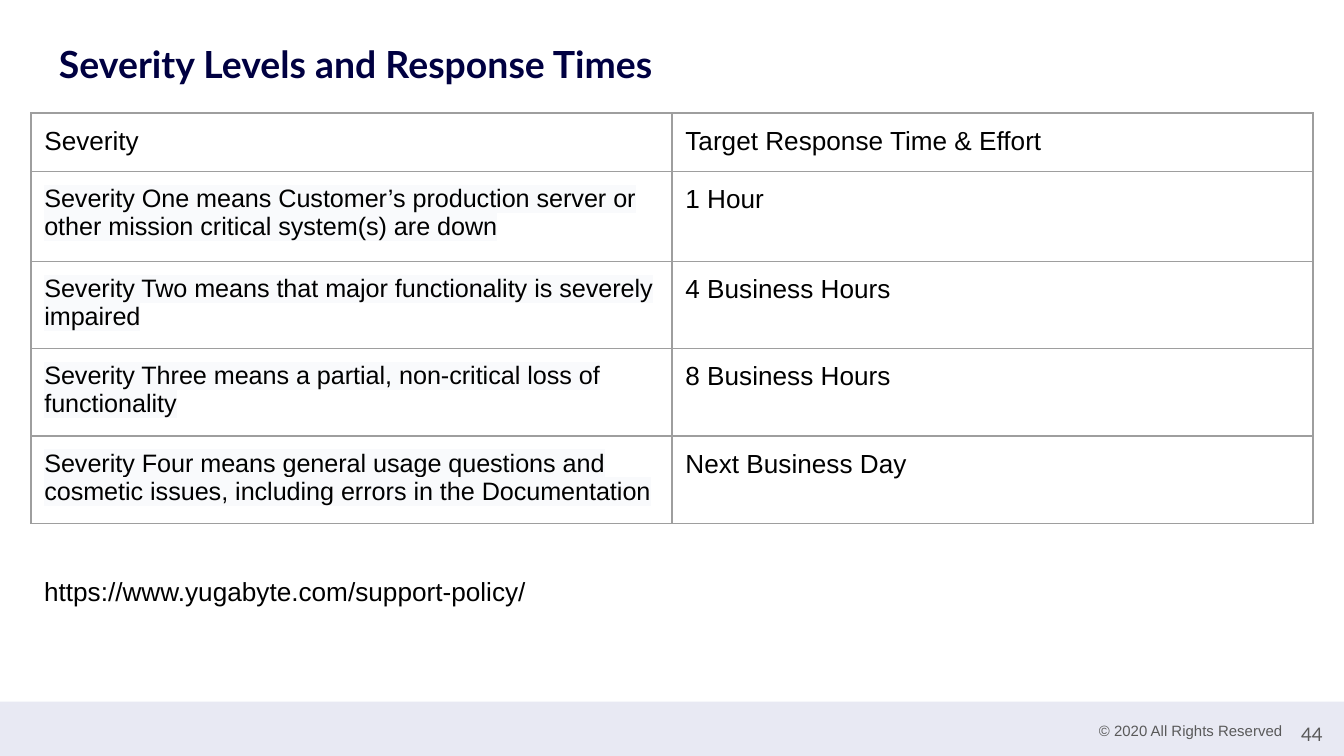
from dataclasses import dataclass

from lxml.etree import SubElement as Sub
from pptx import Presentation
from pptx.dml.color import RGBColor as RGB
from pptx.enum.shapes import MSO_SHAPE as Shape
from pptx.enum.text import MSO_ANCHOR as Anchor, PP_ALIGN as Align
from pptx.oxml.ns import qn
from pptx.util import Inches, Pt


@dataclass(frozen=True)
class Theme:
    navy: str = "000041"
    ink: str = "000000"
    gray: str = "595959"
    band: str = "E8E9F3"
    rule: str = "9E9E9E"
    tint: str = "F9FAFC"
    sans: str = "Arial"
    head: str = "Lato"
    title: float = 20
    body: float = 14
    level: float = 13.5
    page: float = 10
    note: float = 8


T = Theme()
PAD = 0.1
WIDE = 10

ROWS = [
    ("Severity", "Target Response Time & Effort"),
    ("Severity One means Customer’s production server or other mission "
     "critical system(s) are down", "1 Hour"),
    ("Severity Two means that major functionality is severely impaired",
     "4 Business Hours"),
    ("Severity Three means a partial, non-critical loss of functionality",
     "8 Business Hours"),
    ("Severity Four means general usage questions and cosmetic issues, "
     "including errors in the Documentation", "Next Business Day"),
]
# Least heights: rows grow to hold their text
TALL = [0.43, 0.67, 0.42, 0.43, 0.43]


def write(frame, text, size=T.body, font=T.sans, color=T.ink, bold=False,
          align=Align.LEFT, mark=None):
    """Put one formatted run in a text frame."""
    para = frame.paragraphs[0]
    para.alignment = align
    run = para.add_run()
    run.text = text
    face = run.font
    face.size, face.name, face.bold = Pt(size), font, bold
    face.color.rgb = RGB.from_string(color)
    if mark:
        props = face._element
        light = Sub(props, qn("a:highlight"))
        Sub(light, qn("a:srgbClr"), val=mark)
        props.find(qn("a:latin")).addprevious(light)


def inset(item):
    item.margin_left = item.margin_right = Inches(PAD)
    item.margin_top = item.margin_bottom = Inches(PAD)


def label(slide, box, text, anchor=Anchor.TOP, **style):
    frame = slide.shapes.add_textbox(*map(Inches, box)).text_frame
    frame.word_wrap = True
    frame.vertical_anchor = anchor
    inset(frame)
    write(frame, text, **style)


def border(cell):
    props = cell._tc.get_or_add_tcPr()
    for spot, side in enumerate(("lnL", "lnR", "lnT", "lnB")):
        line = Sub(props, qn(f"a:{side}"), w=str(Pt(0.75)))
        fill = Sub(line, qn("a:solidFill"))
        Sub(fill, qn("a:srgbClr"), val=T.rule)
        props.insert(spot, line)


def footer(slide, box):
    x, y, w, h = box
    # Band
    band = slide.shapes.add_shape(Shape.RECTANGLE, *map(Inches, box))
    band.shadow.inherit = False
    band.fill.solid()
    band.fill.fore_color.rgb = RGB.from_string(T.band)
    band.line.fill.background()
    # Rights and page number
    label(slide, (x + w - 1.94, y, 1.58, h), "© 2020 All Rights Reserved",
          Anchor.MIDDLE, size=T.note, color=T.gray, align=Align.CENTER)
    label(slide, (x + w - 0.45, y + 0.1, 0.38, 0.29), "44", Anchor.MIDDLE,
          size=T.page, font=T.head, color=T.gray, align=Align.RIGHT)


def levels(slide, box, span):
    """Draw the table in its frame, with columns sharing the span."""
    frame = slide.shapes.add_table(len(ROWS), 2, *map(Inches, box))
    grid = frame.table
    grid.first_row = grid.horz_banding = False
    for col in grid.columns:
        col.width = Inches(span / 2)
    for r, (pair, tall) in enumerate(zip(ROWS, TALL)):
        grid.rows[r].height = Inches(tall)
        for c, text in enumerate(pair):
            cell = grid.cell(r, c)
            inset(cell)
            cell.fill.background()
            border(cell)
            style = dict(size=T.level, mark=T.tint) if r and not c else {}
            write(cell.text_frame, text, **style)
    # Sizing rows and columns resets the frame
    frame.width, frame.height = map(Inches, box[2:])


def main():
    deck = Presentation()
    deck.slide_width, deck.slide_height = Inches(WIDE), Inches(WIDE * 9 / 16)
    slide = deck.slides.add_slide(deck.slide_layouts[6])
    footer(slide, (0, 5.22, 10.01, 0.43))
    # Title
    label(slide, (0.34, 0.21, 9.32, 0.63),
          "Severity Levels and Response Times",
          size=T.title, font=T.head, color=T.navy, bold=True)
    levels(slide, (0.23, 0.84, 3.28, 3.28), 9.54)
    # Policy address
    label(slide, (0.23, 4.18, 4.77, 0.44),
          "https://www.yugabyte.com/support-policy/")
    deck.save("out.pptx")


if __name__ == "__main__":
    main()
